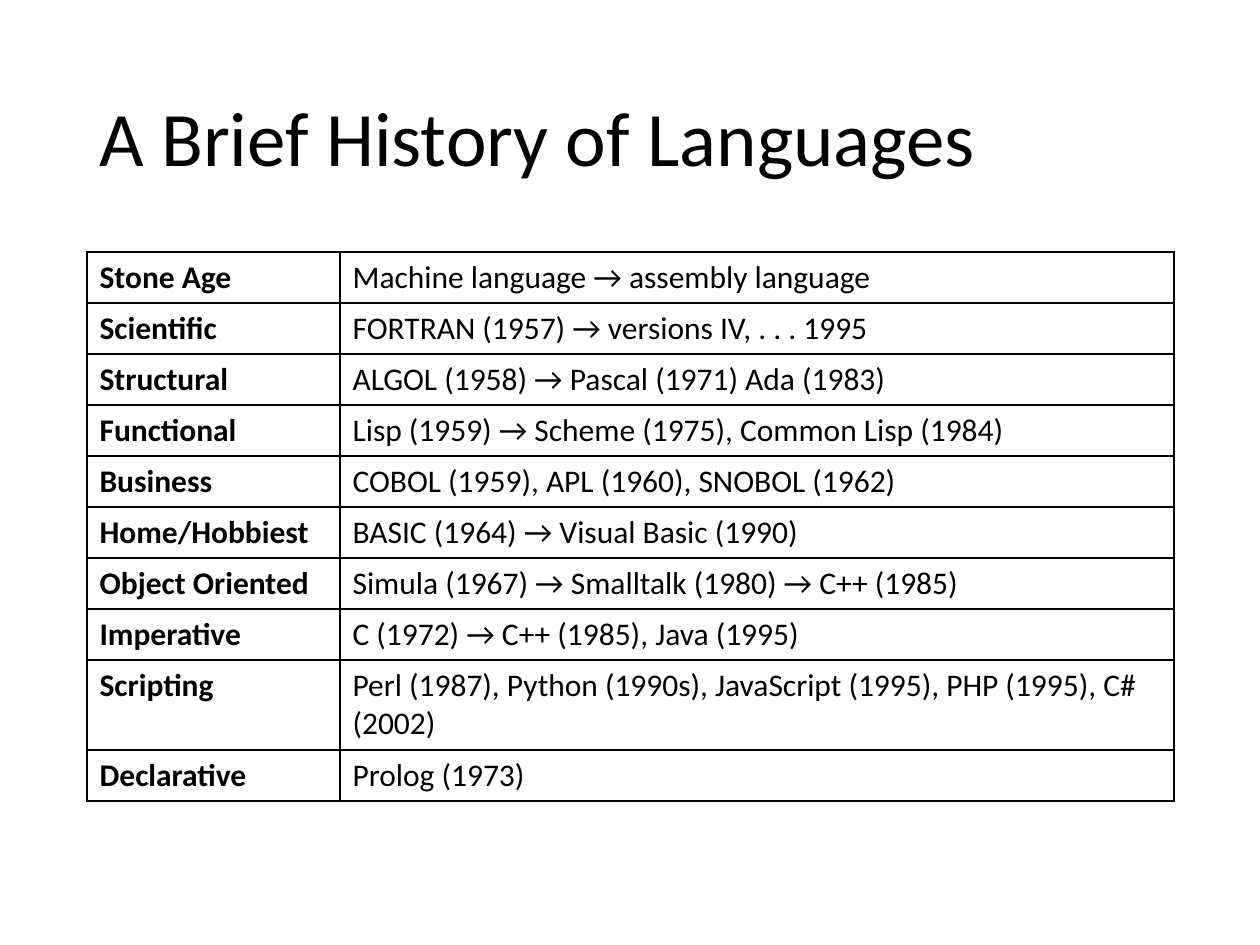
"""Build the slide on the history of programming languages."""
from dataclasses import dataclass

from lxml import etree
from pptx import Presentation
from pptx import util as u
from pptx.dml.color import RGBColor
from pptx.enum import text
from pptx.oxml import ns

SCALE = 914400 / 126
INK = "000000"


@dataclass
class Box:
    left: int
    top: int
    width: int
    height: int

    def emu(self) -> list:
        return [px(n) for n in (self.left, self.top, self.width, self.height)]


@dataclass
class Era:
    name: str
    langs: str


ERAS = [
    Era("Stone Age", "Machine language → assembly language"),
    Era("Scientific", "FORTRAN (1957) → versions IV, . . . 1995"),
    Era("Structural", "ALGOL (1958) → Pascal (1971) Ada (1983)"),
    Era("Functional", "Lisp (1959) → Scheme (1975), Common Lisp (1984)"),
    Era("Business", "COBOL (1959), APL (1960), SNOBOL (1962)"),
    Era("Home/Hobbiest", "BASIC (1964) → Visual Basic (1990)"),
    Era("Object Oriented", "Simula (1967) → Smalltalk (1980) → C++ (1985)"),
    Era("Imperative", "C (1972) → C++ (1985), Java (1995)"),
    Era("Scripting", "Perl (1987), Python (1990s), JavaScript (1995), "
                     "PHP (1995), C# (2002)"),
    Era("Declarative", "Prolog (1973)"),
]
COLS = [253, 834]
ROW = 51
TALL = 90
HEAD = Box(87, 50, 1087, 183)
GRID = Box(87, 252, sum(COLS), ROW * len(ERAS))


def px(n: int) -> int:
    return round(n * SCALE)


def tint(code: str) -> RGBColor:
    return RGBColor.from_string(code)


def style(item, **vals) -> None:
    for key, val in vals.items():
        setattr(item, key, val)


def write(frame, words: str, size: int, bold: bool = False) -> None:
    run = frame.paragraphs[0].add_run()
    run.text = words
    style(run.font, name="Calibri", size=u.Pt(size), bold=bold)
    run.font.color.rgb = tint(INK)


def edge(cell) -> None:
    props = cell._tc.get_or_add_tcPr()
    for spot, side in enumerate(("lnL", "lnR", "lnT", "lnB")):
        line = etree.Element(ns.qn(f"a:{side}"), w=str(u.Pt(1)))
        fill = etree.SubElement(line, ns.qn("a:solidFill"))
        etree.SubElement(fill, ns.qn("a:srgbClr"), val=INK)
        props.insert(spot, line)


def title(slide, box: Box, words: str) -> None:
    frame = slide.shapes.add_textbox(*box.emu()).text_frame
    style(frame, word_wrap=True, vertical_anchor=text.MSO_ANCHOR.MIDDLE)
    frame.paragraphs[0].line_spacing = 0.9
    write(frame, words, 44)


def grid(slide, box: Box, eras: list[Era]) -> None:
    table = slide.shapes.add_table(len(eras), len(COLS), *box.emu()).table
    style(table, first_row=False, horz_banding=False)
    for col, width in zip(table.columns, COLS):
        col.width = px(width)
    for row, era in zip(table.rows, eras):
        row.height = px(TALL if era.name == "Scripting" else ROW)
        for cell, words in zip(row.cells, (era.name, era.langs)):
            cell.fill.background()
            edge(cell)
            write(cell.text_frame, words, 18, words == era.name)


def main() -> None:
    deck = Presentation()
    style(deck, slide_width=px(1260), slide_height=px(945))
    slide = deck.slides.add_slide(deck.slide_layouts[6])
    title(slide, HEAD, "A Brief History of Languages")
    grid(slide, GRID, ERAS)
    deck.save("out.pptx")


if __name__ == "__main__":
    main()
